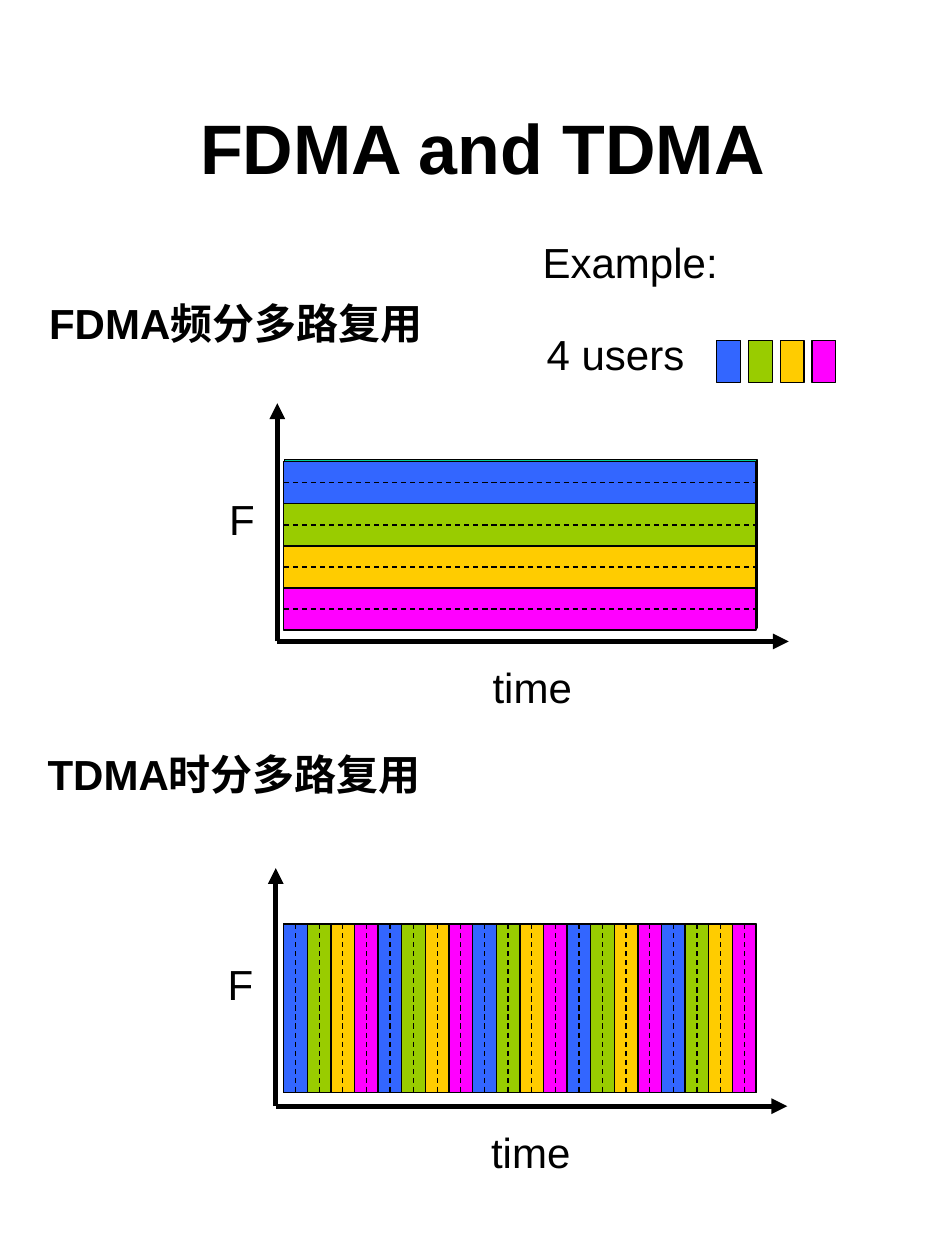
from lxml import etree
from pptx import Presentation
from pptx import util as u
from pptx.dml.color import RGBColor
from pptx.enum import dml, shapes, text
from pptx.oxml.ns import qn

USERS = ["3366FF", "99CC00", "FFCC00", "FF00FF"]
LEFT, WIDE, TALL = 5.72, 9.52, 3.39


def rgb(code):
    return RGBColor.from_string(code)


class Deck:
    font = "Arial"
    ink = "000000"
    thin = 0.75

    def __init__(self):
        self.prs = Presentation()
        self.prs.slide_width = u.Cm(19.05)
        self.prs.slide_height = u.Cm(25.4)
        self.slide = self.prs.slides.add_slide(self.prs.slide_layouts[5])

    def run(self, para, words, size, bold):
        run = para.add_run()
        run.text = words
        run.font.name = self.font
        run.font.size = u.Pt(size)
        run.font.bold = bold
        run.font.color.rgb = rgb(self.ink)

    def title(self, words, x, y, w, h):
        box = self.slide.shapes.title
        box.left, box.top, box.width, box.height = map(u.Cm, (x, y, w, h))
        frame = box.text_frame
        frame.vertical_anchor = text.MSO_ANCHOR.MIDDLE
        para = frame.paragraphs[0]
        para.alignment = text.PP_ALIGN.CENTER
        self.run(para, words, 40, True)

    def label(self, words, x, y, w, bold=False):
        box = self.slide.shapes.add_textbox(*map(u.Cm, (x, y, w, 1.27)))
        frame = box.text_frame
        frame.word_wrap = False
        frame.auto_size = text.MSO_AUTO_SIZE.SHAPE_TO_FIT_TEXT
        self.run(frame.paragraphs[0], words, 24, bold)

    def rect(self, x, y, w, h, fill):
        box = self.slide.shapes.add_shape(
            shapes.MSO_SHAPE.RECTANGLE, *map(u.Cm, (x, y, w, h)))
        box.shadow.inherit = False
        box.fill.solid()
        box.fill.fore_color.rgb = rgb(fill)
        box.line.color.rgb = rgb(self.ink)
        box.line.width = u.Pt(self.thin)
        return box

    def line(self, x1, y1, x2, y2, width=thin):
        line = self.slide.shapes.add_connector(
            shapes.MSO_CONNECTOR.STRAIGHT, *map(u.Cm, (x1, y1, x2, y2)))
        line.line.color.rgb = rgb(self.ink)
        line.line.width = u.Pt(width)
        etree.SubElement(line._element.spPr, qn("a:effectLst"))
        return line

    def arrow(self, x1, y1, x2, y2):
        line = self.line(x1, y1, x2, y2, 3)
        tip = etree.SubElement(line.line._get_or_add_ln(), qn("a:tailEnd"))
        tip.set("type", "triangle")

    def split(self, box, start, end):
        line = self.line(0, 0, 1, 1)
        line.begin_connect(box, start)
        line.end_connect(box, end)
        line.line.dash_style = dml.MSO_LINE.DASH

    def axes(self, x, y):
        self.arrow(x, y, x, y - 4.8)
        self.label("F", x - 1.22, y - 3.1, 0.95)
        self.arrow(x, y, x + 10.31, y)
        self.label("time", x + 4.09, y + 0.28, 2.11)

    def rows(self, top):
        step = TALL / len(USERS)
        bands = [self.rect(LEFT, top + i * step, WIDE, step, hue)
                 for i, hue in enumerate(USERS)]
        for i in range(1, len(USERS)):
            self.line(LEFT, top + i * step, LEFT + WIDE, top + i * step)
        for band in bands:
            self.split(band, 1, 3)

    def slots(self, top, turns):
        hues = USERS * turns
        step = WIDE / len(hues)
        bands = [self.rect(LEFT + i * step, top, step, TALL, hue)
                 for i, hue in enumerate(hues)]
        for i in range(1, len(hues)):
            x = LEFT + i * step
            self.line(x, top, x, top + TALL)
        for band in bands:
            self.split(band, 0, 2)


def main():
    deck = Deck()
    deck.title("FDMA and TDMA", 0.91, 0.84, 17.63, 4.24)

    deck.label("FDMA频分多路复用", 0.74, 5.87, 8.23, True)
    deck.axes(5.59, 12.93)
    deck.rect(5.74, 9.27, WIDE, TALL, "00CC99")
    deck.rows(9.31)

    deck.label("TDMA时分多路复用", 0.71, 14.96, 8.23, True)
    deck.axes(5.56, 22.3)
    deck.rect(LEFT, 18.63, WIDE, TALL, "00CC99")
    deck.slots(18.63, 5)

    deck.label("Example:", 10.69, 4.65, 4.04)
    deck.label("4 users", 10.77, 6.5, 3.28)
    for i, hue in enumerate(USERS):
        deck.rect(14.45 + i * 0.64, 6.86, 0.48, 0.85, hue)

    deck.prs.save("out.pptx")


if __name__ == "__main__":
    main()
